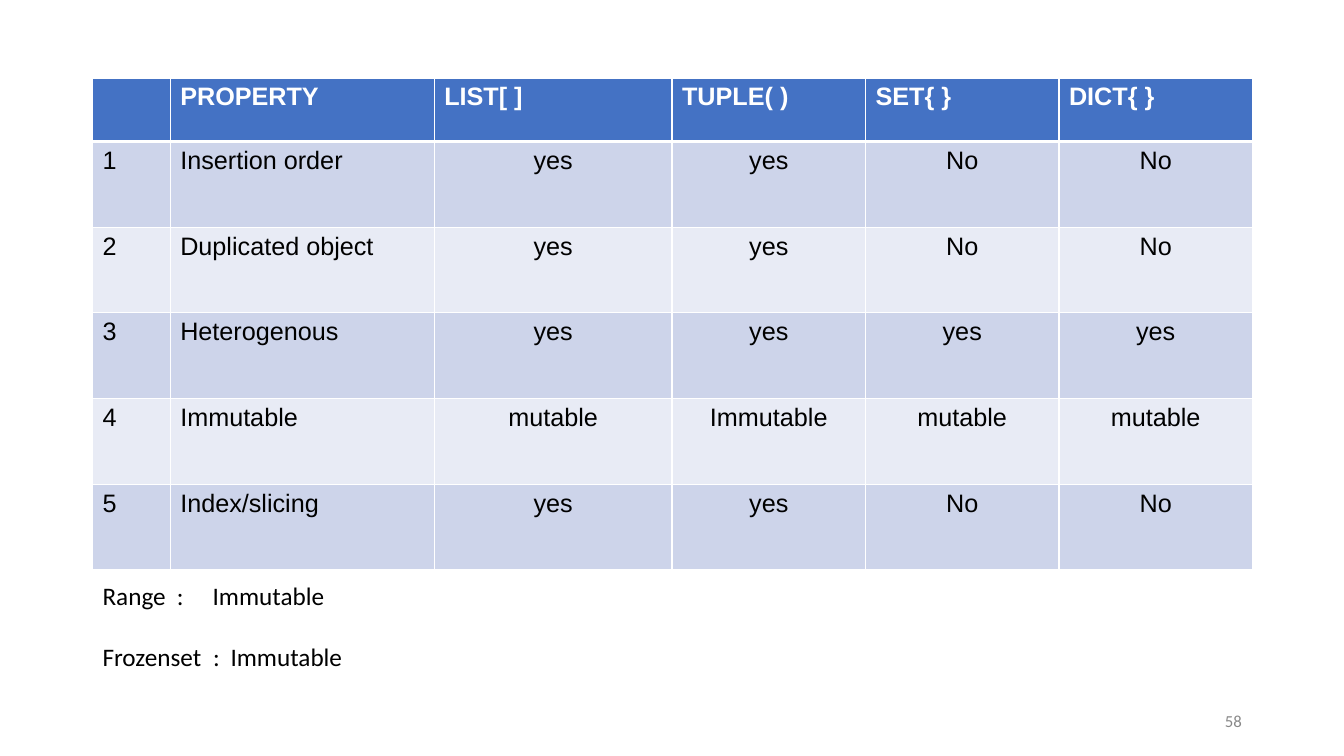
from lxml import etree
from pptx import Presentation
from pptx import util as u
from pptx.dml.color import RGBColor
from pptx.enum import text
from pptx.oxml import ns

Pt = u.Pt


def colour(code):
    return RGBColor.from_string(code)


def write(para, words, font="Arial", size=18, ink="000000", bold=False, align=text.PP_ALIGN.LEFT):
    para.alignment = align
    span = para.add_run()
    span.text = words
    span.font.name = font
    span.font.size = Pt(size)
    span.font.bold = bold
    span.font.color.rgb = colour(ink)


deck = Presentation()
deck.slide_width, deck.slide_height = Pt(960), Pt(540)
page = deck.slides.add_slide(deck.slide_layouts[6])

rows = [
    ["", "PROPERTY", "LIST[ ]", "TUPLE( )", "SET{ }", "DICT{ }"],
    ["1", "Insertion order", "yes", "yes", "No", "No"],
    ["2", "Duplicated object", "yes", "yes", "No", "No"],
    ["3", "Heterogenous", "yes", "yes", "yes", "yes"],
    ["4", "Immutable", "mutable", "Immutable", "mutable", "mutable"],
    ["5", "Index/slicing", "yes", "yes", "No", "No"],
]
widths = [55.4, 188.6, 169.9, 138.2, 138.2, 138.2]
heights = [45.4] + [61.2] * 5

table = page.shapes.add_table(
    len(rows), len(widths), Pt(66.2), Pt(55.7), Pt(sum(widths)), Pt(sum(heights))
).table
for column, width in zip(table.columns, widths):
    column.width = Pt(width)

for r, row in enumerate(rows):
    table.rows[r].height = Pt(heights[r])
    header = r == 0
    fill = "4472C4" if header else ("CDD4EA" if r % 2 else "E8EBF5")
    for c, words in enumerate(row):
        cell = table.cell(r, c)
        properties = cell._tc.get_or_add_tcPr()
        for side in "LRTB":
            heavy = (r, side) in [(0, "B"), (1, "T")]
            line = etree.SubElement(properties, ns.qn(f"a:ln{side}"), w=str(Pt(3 if heavy else 1)))
            solid = etree.SubElement(line, ns.qn("a:solidFill"))
            etree.SubElement(solid, ns.qn("a:srgbClr"), val="FFFFFF")
        cell.fill.solid()
        cell.fill.fore_color.rgb = colour(fill)
        if words:
            centred = not header and c > 1
            write(
                cell.text_frame.paragraphs[0], words, bold=header,
                ink="FFFFFF" if header else "000000",
                align=text.PP_ALIGN.CENTER if centred else text.PP_ALIGN.LEFT,
            )

number = page.shapes.add_textbox(Pt(678.2), Pt(500.4), Pt(216), Pt(28.8)).text_frame
number.word_wrap = True
number.vertical_anchor = text.MSO_ANCHOR.MIDDLE
write(number.paragraphs[0], "58", font="Calibri", size=12, ink="888888", align=text.PP_ALIGN.RIGHT)

notes = page.shapes.add_textbox(Pt(66.2), Pt(411.1), Pt(414), Pt(94.3)).text_frame
notes.word_wrap = True
for i, (name, stops) in enumerate([("Range", (53, 78.6)), ("Frozenset", (79, 91.4))]):
    para = notes.add_paragraph() if i else notes.paragraphs[0]
    para.space_before = Pt(22 * i)
    write(para, f"{name}\t:\tImmutable", font="Calibri")
    tabs = etree.SubElement(para._p.get_or_add_pPr(), ns.qn("a:tabLst"))
    for stop in stops:
        etree.SubElement(tabs, ns.qn("a:tab"), pos=str(Pt(stop)), algn="l")

deck.save("out.pptx")
